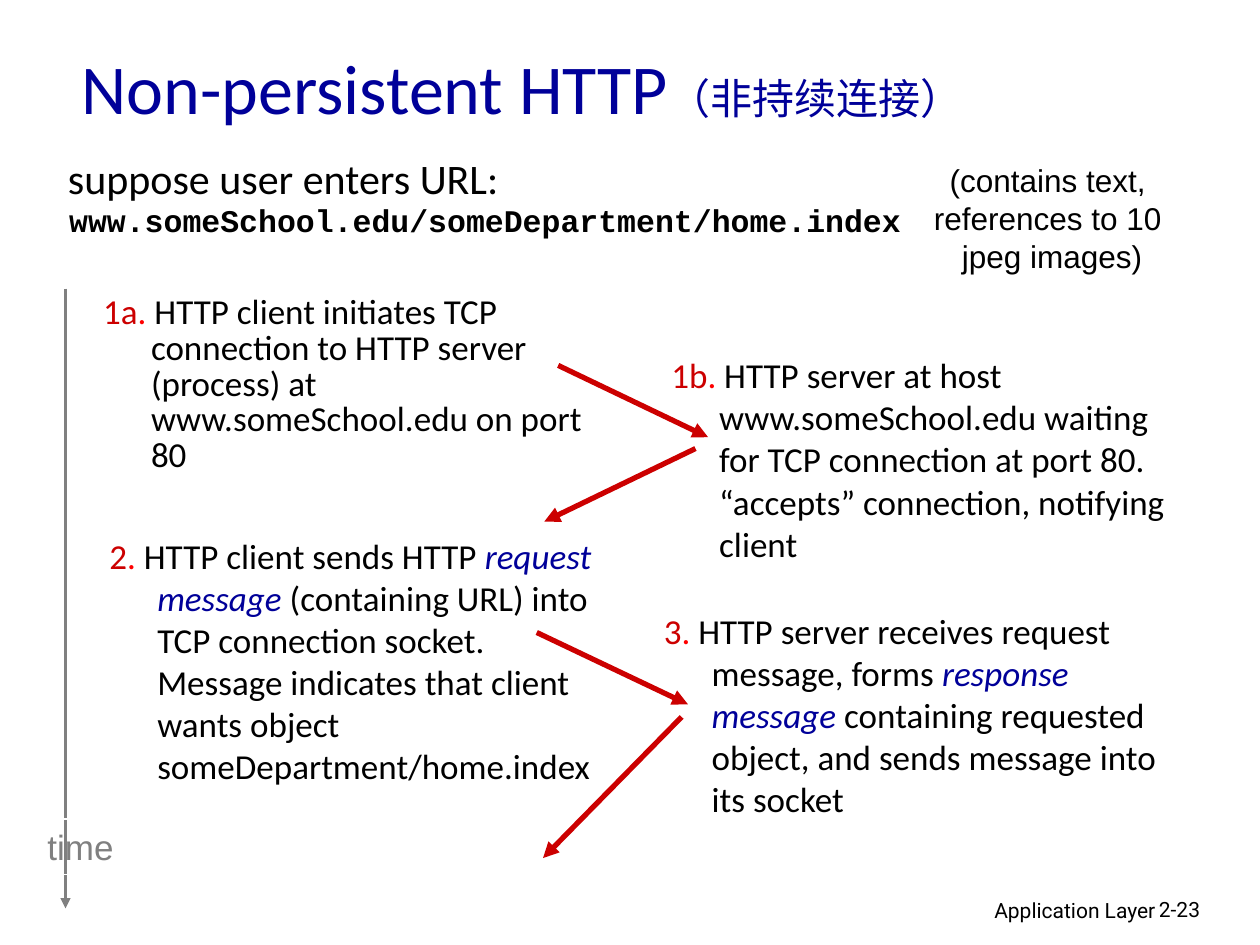
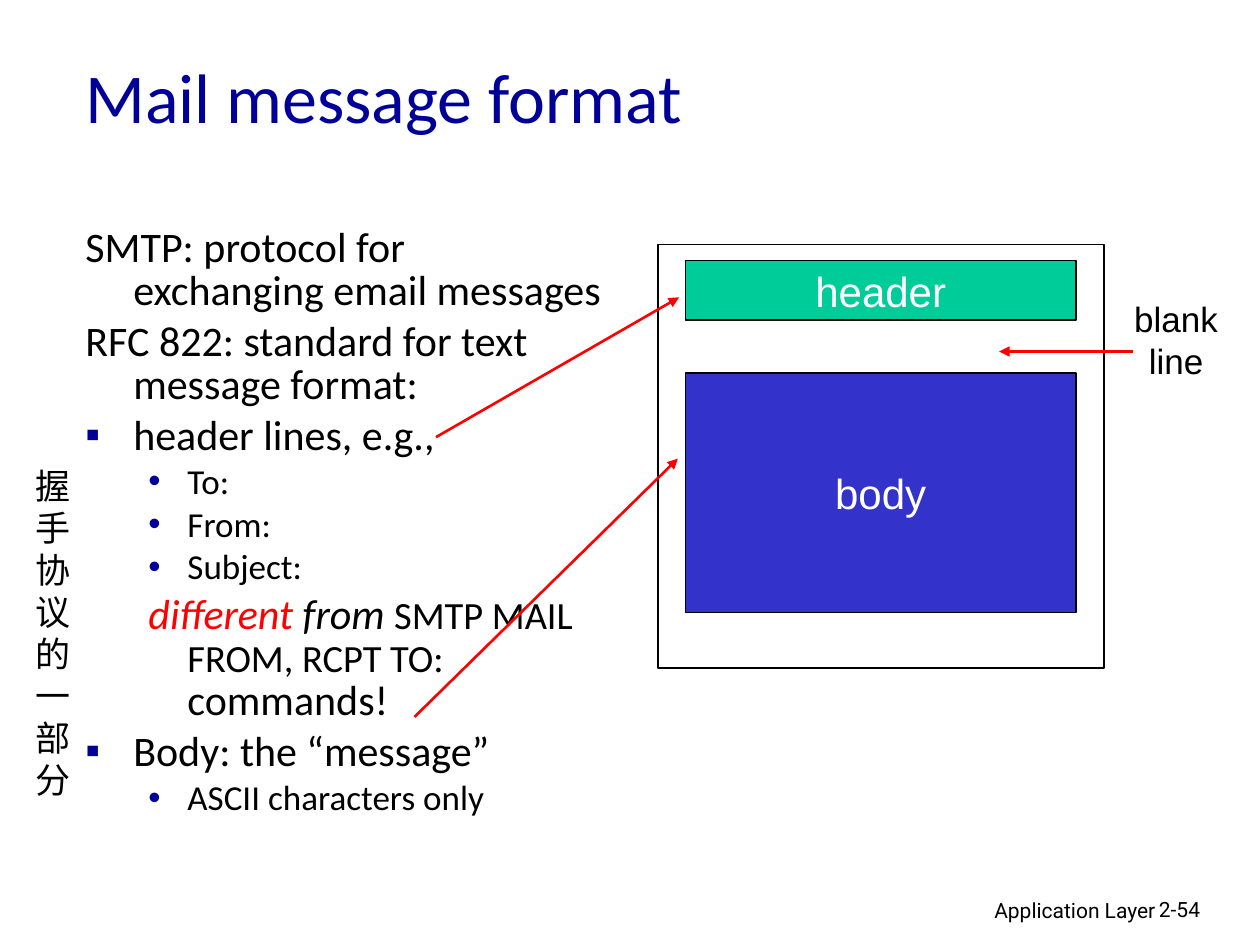
from lxml.etree import SubElement
from pptx import Presentation
from pptx.dml.color import RGBColor
from pptx.enum.shapes import MSO_CONNECTOR, MSO_SHAPE
from pptx.enum.text import MSO_ANCHOR, PP_ALIGN
from pptx.oxml.ns import qn
from pptx.util import Inches, Pt

NAVY = RGBColor(0x00, 0x00, 0x99)
BLACK = RGBColor(0x00, 0x00, 0x00)
WHITE = RGBColor(0xFF, 0xFF, 0xFF)
GRAY = RGBColor(0x80, 0x80, 0x80)
CRIMSON = RGBColor(0xCC, 0x00, 0x00)
RED = RGBColor(0xFF, 0x00, 0x00)
GREEN = RGBColor(0x00, 0xCC, 0x99)
BLUE = RGBColor(0x33, 0x33, 0xCC)

LEFT, CENTER, RIGHT = PP_ALIGN.LEFT, PP_ALIGN.CENTER, PP_ALIGN.RIGHT
LEVELS = [(0.38, -0.38), (0.81, -0.31)]
BULLETS = ["▪", "•"]
TIGHT = 0.85

STEPS = [
    ((0.72, 2.3, 4.31, 2.08), TIGHT, "1a",
     [(" HTTP client initiates TCP connection to HTTP server (process) at "
       "www.someSchool.edu on port 80", False)]),
    ((0.77, 4.19, 4.17, 1.18), None, "2",
     [(" HTTP client sends HTTP ", False), ("request message", True),
      (" (containing URL) into TCP connection socket. Message indicates "
       "that client wants object someDepartment/home.index", False)]),
    ((5.23, 2.76, 4.17, 1.65), None, "1b",
     [(" HTTP server at host www.someSchool.edu waiting for TCP connection "
       "at port 80. “accepts” connection, notifying client", False)]),
    ((5.17, 4.79, 4.17, 1.97), None, "3",
     [(" HTTP server receives request message, forms ", False),
      ("response message", True),
      (" containing requested object, and sends message into its socket",
       False)]),
]
TRIPS = [
    ((4.43, 2.9), (5.62, 3.47)),
    ((5.52, 3.56), (4.32, 4.14)),
    ((4.26, 5.02), (5.46, 5.59)),
    ((5.41, 5.69), (4.31, 6.81)),
]
NOTE = ["(contains text, ", "references to 10 ", "jpeg images)"]

OUTLINE = [
    (0, False, [("SMTP: protocol for exchanging email messages", 24)]),
    (0, False, [("RFC 822: standard for text message format:", 24)]),
    (0, True, [("header lines, e.g.,", 24)]),
    (1, True, [("To:", 20)]),
    (1, True, [("From:", 20)]),
    (1, True, [("Subject:", 20)]),
    (1, False, [("different ", 24, RED, True), ("from ", 24, BLACK, True),
                ("SMTP MAIL FROM, RCPT TO:", 22), (" commands!", 24)]),
    (0, True, [("Body: the “message”", 24)]),
    (1, True, [("ASCII characters only", 20)]),
]
PARTS = [("header", 2.07, 0.47, GREEN), ("body", 2.96, 1.9, BLUE)]
LINKS = [
    ((3.46, 3.47), (5.39, 2.36)),
    ((3.29, 5.69), (5.38, 3.64)),
    ((8.99, 2.79), (7.93, 2.79)),
]


def add_run(para, text, size, color=BLACK, italic=False, font="Calibri",
            bold=False):
    run = para.add_run()
    run.text = text
    run.font.size = Pt(size)
    run.font.name = font
    run.font.color.rgb = color
    run.font.italic = italic
    run.font.bold = bold


def add_para(frame, runs, font="Calibri", align=LEFT, level=None,
             bullet=False, tight=None, gap=False):
    first = frame.paragraphs[0]
    para = frame.add_paragraph() if first.runs else first
    para.alignment = align
    if tight:
        para.line_spacing = tight
    if gap:
        para.space_before = Pt(0.2 * runs[0][1])
    for run in runs:
        add_run(para, *run, font=font) if len(run) < 5 else add_run(para, *run)
    if level is not None:
        props = para._p.get_or_add_pPr()
        margin, indent = LEVELS[level]
        props.set("marL", str(Inches(margin)))
        props.set("indent", str(Inches(indent)))
        if bullet:
            tint = SubElement(props, qn("a:buClr"))
            SubElement(tint, qn("a:srgbClr")).set("val", str(NAVY))
            SubElement(props, qn("a:buFont")).set("typeface", "Arial")
            SubElement(props, qn("a:buChar")).set("char", BULLETS[level])


def add_box(slide, spot, wrap=True, anchor=MSO_ANCHOR.TOP):
    frame = slide.shapes.add_textbox(*map(Inches, spot)).text_frame
    frame.word_wrap = wrap
    frame.vertical_anchor = anchor
    return frame


def add_rect(slide, spot, line, width=0.75, fill=None):
    rect = slide.shapes.add_shape(MSO_SHAPE.RECTANGLE, *map(Inches, spot))
    rect.shadow.inherit = False
    if fill is None:
        rect.fill.background()
    else:
        rect.fill.solid()
        rect.fill.fore_color.rgb = fill
    rect.line.color.rgb = line
    rect.line.width = Pt(width)
    rect.text_frame.word_wrap = False
    return rect.text_frame


def add_arrow(slide, start, end, color, width):
    ends = map(Inches, (*start, *end))
    arrow = slide.shapes.add_connector(MSO_CONNECTOR.STRAIGHT, *ends)
    arrow.line.color.rgb = color
    arrow.line.width = Pt(width)
    props = arrow._element.spPr
    SubElement(props.find(qn("a:ln")), qn("a:tailEnd")).set("type", "triangle")
    SubElement(props, qn("a:effectLst"))


def add_page(deck, number, spot, title):
    slide = deck.slides.add_slide(deck.slide_layouts[6])
    add_para(add_box(slide, (6.1, 7.07, 3.17, 0.31)),
             [("Application Layer", 12)], "Roboto", RIGHT)
    add_para(add_box(slide, (9.1, 7.07, 0.74, 0.3)), [(number, 12)], "Roboto")
    add_para(add_box(slide, spot, anchor=MSO_ANCHOR.MIDDLE),
             [(text, size, NAVY) for text, size in title])
    return slide


def draw_http(deck):
    slide = add_page(deck, "2-23", (0.55, 0.21, 8.5, 0.95),
                     [("Non-persistent HTTP", 40), ("（非持续连接）", 24)])
    add_arrow(slide, (0.52, 2.29), (0.52, 7.21), GRAY, 1.5)
    add_para(add_box(slide, (0.44, 1.22, 8.69, 0.51)),
             [("suppose user enters URL:", 24)], level=0, tight=TIGHT, gap=True)
    add_para(add_box(slide, (0.45, 1.59, 8.69, 0.51)),
             [("www.someSchool.edu/someDepartment/home.index", 18, BLACK,
               False, "Courier New", True)], level=0, tight=TIGHT, gap=True)
    for spot, tight, label, pieces in STEPS:
        runs = [(label, 20, CRIMSON), (".", 20, RED)]
        runs += [(text, 20, NAVY if term else BLACK, term)
                 for text, term in pieces]
        add_para(add_box(slide, spot), runs, level=0, tight=tight, gap=True)
    for start, end in TRIPS:
        add_arrow(slide, start, end, CRIMSON, 3)
    clock = add_rect(slide, (0.27, 6.5, 0.74, 0.44), WHITE)
    clock.vertical_anchor = MSO_ANCHOR.TOP
    add_para(clock, [("time", 20, GRAY)], "Arial", CENTER)
    note = add_box(slide, (7.31, 1.23, 2.08, 1), wrap=False)
    for text in NOTE:
        add_para(note, [(text, 18)], "Arial", CENTER)


def draw_mail(deck):
    slide = add_page(deck, "2-54", (0.58, 0.13, 8.5, 1.25),
                     [("Mail message format", 40)])
    frame = add_box(slide, (0.58, 1.76, 4.3, 5.08))
    for level, bullet, runs in OUTLINE:
        add_para(frame, runs, level=level, bullet=bullet, tight=TIGHT, gap=True)
    for name, top, height, fill in PARTS:
        part = add_rect(slide, (5.44, top, 3.1, height), BLACK, fill=fill)
        part.vertical_anchor = MSO_ANCHOR.MIDDLE
        add_para(part, [(name, 24, WHITE)], "Arial", CENTER)
    add_rect(slide, (5.22, 1.94, 3.54, 3.36), BLACK, 1)
    for start, end in LINKS:
        add_arrow(slide, start, end, RED, 1.5)
    blank = add_box(slide, (8.9, 2.31, 0.87, 0.77), wrap=False)
    for text in ("blank", "line"):
        add_para(blank, [(text, 20)], "Arial", CENTER)
    add_para(add_box(slide, (0.18, 3.64, 0.68, 2.79)),
             [("握手协议的一部分", 20)], "Arial", gap=True)


def main():
    deck = Presentation()
    deck.slide_width, deck.slide_height = Inches(10), Inches(7.5)
    draw_http(deck)
    draw_mail(deck)
    deck.save("out.pptx")


if __name__ == "__main__":
    main()
